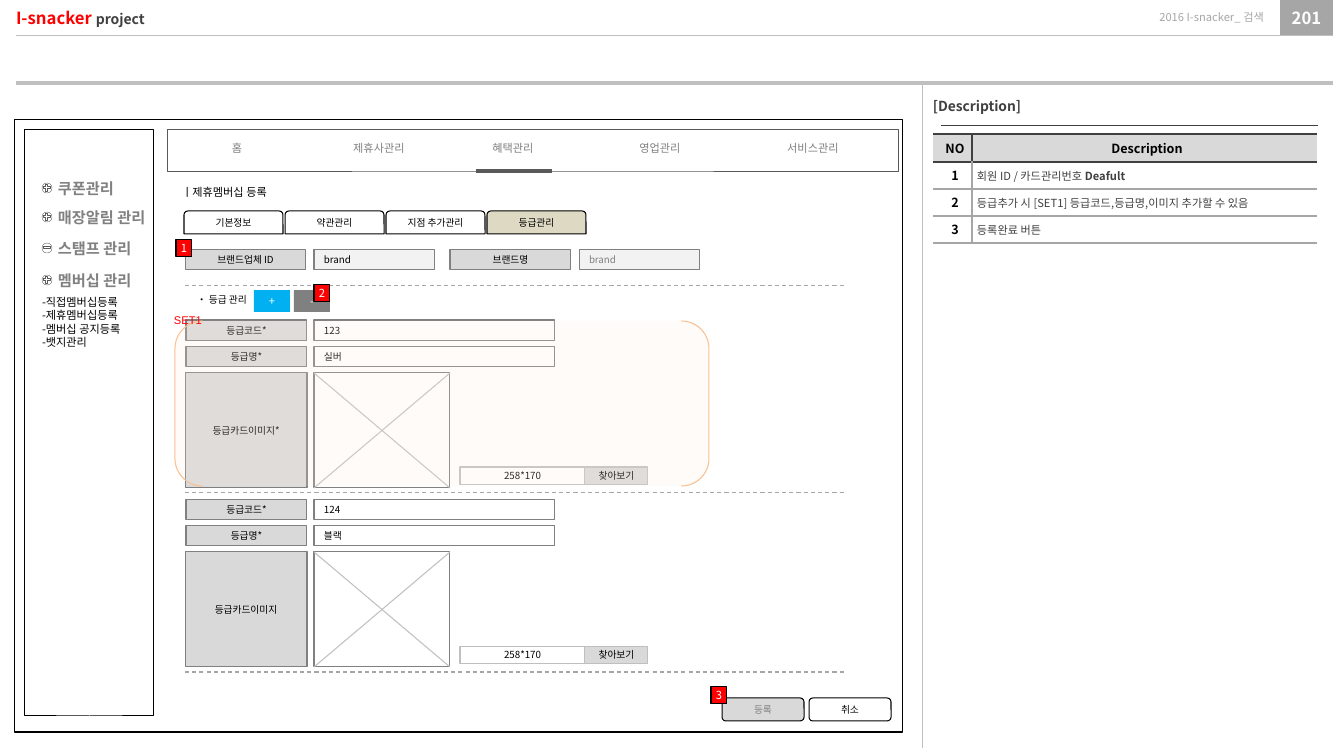
import pptx
import pptx.util
import pptx.dml.color
import pptx.enum.dml
import pptx.enum.shapes
import pptx.enum.text
import pptx.oxml
import pptx.oxml.ns

PX = 9108  # EMU in one px
FACE = "Noto Sans CJK KR"
COLOURS = {
    "black": "000000", "white": "FFFFFF", "red": "FF0000", "blue": "00B0F0", "ink": "404040",
    "rule": "595959", "grey": "808080", "mid": "A6A6A6", "soft": "BFBFBF", "label": "D9D9D9",
    "field": "F2F2F2", "tab": "DDD9C3", "peach": "FDEADA", "orange": "FAC090",
}
SHAPES = pptx.enum.shapes.MSO_SHAPE
ALIGN = pptx.enum.text.PP_ALIGN
ANCHOR = pptx.enum.text.MSO_ANCHOR


def px(*lengths):
    return [pptx.util.Emu(length * PX) for length in lengths]


def rgb(name):
    return pptx.dml.color.RGBColor.from_string(COLOURS[name])


def add_span(para, text, size, colour="black", bold=False, face=FACE):
    span = para.add_run()
    span.text = text
    for name, value in {"size": pptx.util.Pt(size), "bold": bold, "name": face}.items():
        setattr(span.font, name, value)
    span.font.color.rgb = rgb(colour)
    east = pptx.oxml.parse_xml(f'<a:ea {pptx.oxml.ns.nsdecls("a")} typeface="{face}"/>')
    span.font._element.find(pptx.oxml.ns.qn("a:latin")).addnext(east)


def set_frame(frame, anchor, side=0, edge=0):
    side, edge = px(side, edge)
    values = {"word_wrap": True, "vertical_anchor": anchor, "margin_left": side,
              "margin_right": side, "margin_top": edge, "margin_bottom": edge}
    for name, value in values.items():
        setattr(frame, name, value)


def add_text(page, box, lines, size, align=ALIGN.LEFT, **style):
    """Top-anchored text with tight lines."""
    frame = page.shapes.add_textbox(*px(*box)).text_frame
    set_frame(frame, ANCHOR.TOP, 10, 5)
    for index, line in enumerate(lines.split("\n")):
        para = frame.add_paragraph() if index else frame.paragraphs[0]
        para.alignment = align
        para.line_spacing = pptx.util.Pt(round(size * 1.2, 1))
        add_span(para, line, size, **style)


def add_box(page, box, fill=None, line=None, text="", size=7, colour="black",
            align=ALIGN.CENTER, kind=SHAPES.RECTANGLE, weight=0.75, bold=False):
    shape = page.shapes.add_shape(kind, *px(*box))
    shape.shadow.inherit = False
    if fill:
        shape.fill.solid()
        shape.fill.fore_color.rgb = rgb(fill)
    else:
        shape.fill.background()
    if line:
        shape.line.color.rgb = rgb(line)
        shape.line.width = pptx.util.Pt(weight)
    else:
        shape.line.fill.background()
    if text:
        set_frame(shape.text_frame, ANCHOR.MIDDLE, 10 if align == ALIGN.LEFT else 0)
        para = shape.text_frame.paragraphs[0]
        para.alignment = align
        add_span(para, text, size, colour, bold)
    return shape


def add_line(page, ends, colour, weight=0.75, dashed=False):
    line = page.shapes.add_connector(pptx.enum.shapes.MSO_CONNECTOR.STRAIGHT, *px(*ends))
    line.line.color.rgb = rgb(colour)
    line.line.width = pptx.util.Pt(weight)
    if dashed:
        line.line.dash_style = pptx.enum.dml.MSO_LINE.DASH
    line._element.spPr.append(pptx.oxml.parse_xml(f'<a:effectLst {pptx.oxml.ns.nsdecls("a")}/>'))


def add_header(page, box):
    left, top, width, height = box
    right = left + width
    # Title
    title = page.shapes.title
    for name, value in zip(("left", "top", "width", "height"), px(left, top, 206, height)):
        setattr(title, name, value)
    set_frame(title.text_frame, ANCHOR.MIDDLE)
    para = title.text_frame.paragraphs[0]
    para.alignment = ALIGN.LEFT
    add_span(para, "I-snacker ", 12, "red", True)
    add_span(para, "project", 10, "ink", True)
    # Section and page number
    add_box(page, (right - 297, top, 228, height), text="2016 I-snacker_ 검색", size=8,
            colour="mid", align=ALIGN.RIGHT)
    add_box(page, (right - 53, top, 53, height), "mid", text="201", size=12,
            colour="white", bold=True)
    # Rules
    add_line(page, (left, top + 83, right, top + 83), "soft", 2.25)
    add_line(page, (left, top + height, right, top + height), "soft", 0.25)


def add_sidebar(page, box):
    left, top, width, height = box
    add_box(page, box, "white", "black")
    menus = [("쿠폰관리", 45, SHAPES.MATH_PLUS), ("매장알림 관리", 74, SHAPES.MATH_PLUS),
             ("스탬프 관리", 105, SHAPES.MATH_MINUS), ("멤버십 관리", 137, SHAPES.MATH_PLUS)]
    for name, offset, sign in menus:
        y = top + offset
        add_text(page, (left + 23, y, width, 28), name, 10.9, colour="grey", bold=True)
        add_box(page, (left + 17, y + 9, 10, 10), "white", "rule", kind=SHAPES.OVAL, weight=0.25)
        add_box(page, (left + 17, y + 9, 9, 9), None, "rule", kind=sign, weight=0.25)
    add_text(page, (left + 7, top + 161, width + 15, 64),
             "-직접멤버십등록\n-제휴멤버십등록\n-멤버십 공지등록\n-뱃지관리", 8)


def add_navigation(page, box):
    left, top, width, height = box
    add_box(page, box, "white", "rule", weight=0.5)
    menus = {"홈": 70, "제휴사관리": 212, "혜택관리": 346, "영업관리": 493, "서비스관리": 646}
    for name, centre in menus.items():
        add_text(page, (left + centre - 54, top + 7, 108, 23), name, 8, ALIGN.CENTER, colour="grey")
    active, bottom = left + menus["혜택관리"], top + height
    add_line(page, (active - 37, bottom, active + 39, bottom), "rule", 2.25)


def add_grade_set(page, box, code, grade, card_label):
    left, top, width, height = box
    field = left + 129
    # Code and name rows
    for index, (label, value) in enumerate((("등급코드*", code), ("등급명*", grade))):
        y = top + 26 * index
        add_box(page, (left + 1, y, 121, 21), "label", "grey", label)
        add_box(page, (field, y, 241, 21), "white", "grey", value, align=ALIGN.LEFT)
    # Card image with crossed placeholder
    y, bottom = top + 53, top + 168
    add_box(page, (left, y, 122, 115), "label", "grey", card_label)
    add_box(page, (field, y, 136, 115), "white", "grey")
    add_line(page, (field, bottom, field + 136, y), "soft")
    add_line(page, (field, y, field + 136, bottom), "soft")
    # File picker
    add_box(page, (left + 275, top + 147, 125, 18), "white", "soft", "258*170")
    add_box(page, (left + 400, top + 147, 63, 18), "label", "soft", "찾아보기")
    add_line(page, (left, top + height, left + width, top + height), "mid", dashed=True)


def add_form(page, box):
    left, top, width, height = box
    add_text(page, (left - 13, top - 1, 165, 23), "ㅣ제휴멤버십 등록", 8)
    # Tabs
    for index, name in enumerate(("기본정보", "약관관리", "지점 추가관리", "등급관리")):
        add_box(page, (left - 1 + 101 * index, top + 30, 99, 23), "tab" if index == 3 else "white",
                "black", name, kind=SHAPES.ROUND_2_SAME_RECTANGLE)
    # Brand fields
    pairs = (("브랜드업체 ID", "black"), ("브랜드명", "grey"))
    for index, (label, colour) in enumerate(pairs):
        x = left + 265 * index
        add_box(page, (x, top + 68, 121, 21), "label", "grey", label)
        add_box(page, (x + 129, top + 68, 121, 21), "field", "grey", "brand",
                colour=colour, align=ALIGN.LEFT)
    add_line(page, (left, top + 105, left + width, top + 105), "mid", dashed=True)
    # Grade controls
    add_text(page, (left + 2, top + 108, 120, 22), "• 등급 관리", 7)
    for index, (sign, fill) in enumerate((("+", "blue"), ("-", "grey"))):
        add_box(page, (left + 69 + 40 * index, top + 109, 36, 22), fill,
                text=sign, size=8, colour="white")
    # Grade sets
    sets = (("123", "실버", "등급카드이미지*"), ("124", "블랙", "등급카드이미지"))
    for index, values in enumerate(sets):
        add_grade_set(page, (left, top + 139 + 179 * index, width, 173), *values)
    # Highlight around the first set
    bracket = add_box(page, (left - 10, top + 140, 534, 165), "peach", "orange",
                      kind=SHAPES.DOUBLE_BRACKET)
    tint = bracket._element.spPr.find(".//" + pptx.oxml.ns.qn("a:srgbClr"))
    tint.append(pptx.oxml.parse_xml(f'<a:alpha {pptx.oxml.ns.nsdecls("a")} val="19000"/>'))
    add_text(page, (left - 21, top + 127, 66, 23), "SET1", 8, colour="red", face="Arial")
    # Submit buttons
    buttons = (("등록", "label", "grey"), ("취소", "white", "black"))
    for index, (name, fill, colour) in enumerate(buttons):
        add_box(page, (left + 537 + 87 * index, top + height - 23, 82, 23), fill, "black", name,
                colour=colour, kind=SHAPES.ROUNDED_RECTANGLE)
    # Numbered markers
    markers = ((-9, 59), (129, 104), (526, 506))
    for number, (x, y) in enumerate(markers, 1):
        add_box(page, (left + x, top + y, 16, 17), "red", "black", str(number), 8, "white")


def set_borders(cell, colours):
    properties = cell._tc.get_or_add_tcPr()
    for side in "LRTB":
        colour = colours.get(side)
        paint = (f'<a:solidFill><a:srgbClr val="{COLOURS[colour]}"/></a:solidFill>'
                 if colour else "<a:noFill/>")
        properties.append(pptx.oxml.parse_xml(
            f'<a:ln{side} {pptx.oxml.ns.nsdecls("a")} w="12700">{paint}</a:ln{side}>'))


def add_description(page, box):
    left, top, width, height = box
    add_line(page, (left, top, left, top + height), "soft")
    add_text(page, (left, top + 8, 174, 27), "[Description]", 9.9, colour="ink", bold=True)
    add_line(page, (left + 18, top + 40, left + width, top + 40), "ink", 0.5)
    # Table
    rows = [("NO", "Description"), ("1", "회원 ID / 카드관리번호 "),
            ("2", "등급추가 시 [SET1] 등급코드,등급명,이미지 추가할 수 있음"), ("3", "등록완료 버튼")]
    table = page.shapes.add_table(4, 2, *px(left + 10, top + 49, 384, 109)).table
    table.first_row = table.horz_banding = False
    for column, length in zip(table.columns, px(39, 345)):
        column.width = length
    for r, texts in enumerate(rows):
        table.rows[r].height = px(27 if r else 28)[0]
        for c, text in enumerate(texts):
            cell = table.cell(r, c)
            line = "mid" if r else "ink"
            set_borders(cell, {"LR"[1 - c]: line, "T": "ink" if r < 2 else "mid",
                               "B": line})
            if r:
                cell.fill.background()
            else:
                cell.fill.solid()
                cell.fill.fore_color.rgb = rgb("label")
            margins = zip(("left", "right", "top", "bottom"), px(5, 0, 0, 0))
            for side, margin in margins:
                setattr(cell, "margin_" + side, margin)
            cell.vertical_anchor = ANCHOR.MIDDLE
            para = cell.text_frame.paragraphs[0]
            body = r > 0 and c == 1
            para.alignment = ALIGN.LEFT if body else ALIGN.CENTER
            add_span(para, text, 8 if body else 9, "ink" if body else "black", not body)
    add_span(table.cell(1, 1).text_frame.paragraphs[0], "Deafult", 8, "ink", True)


def main():
    deck = pptx.Presentation()
    deck.slide_width, deck.slide_height = px(1344, 751)
    page = deck.slides.add_slide(deck.slide_layouts[5])
    add_header(page, (16, 0, 1317, 35))
    add_box(page, (15, 119, 888, 613), None, "black")
    add_sidebar(page, (25, 129, 129, 587))
    add_navigation(page, (167, 129, 731, 42))
    add_form(page, (185, 181, 661, 540))
    add_description(page, (923, 85, 395, 663))
    deck.save("out.pptx")


if __name__ == "__main__":
    main()
